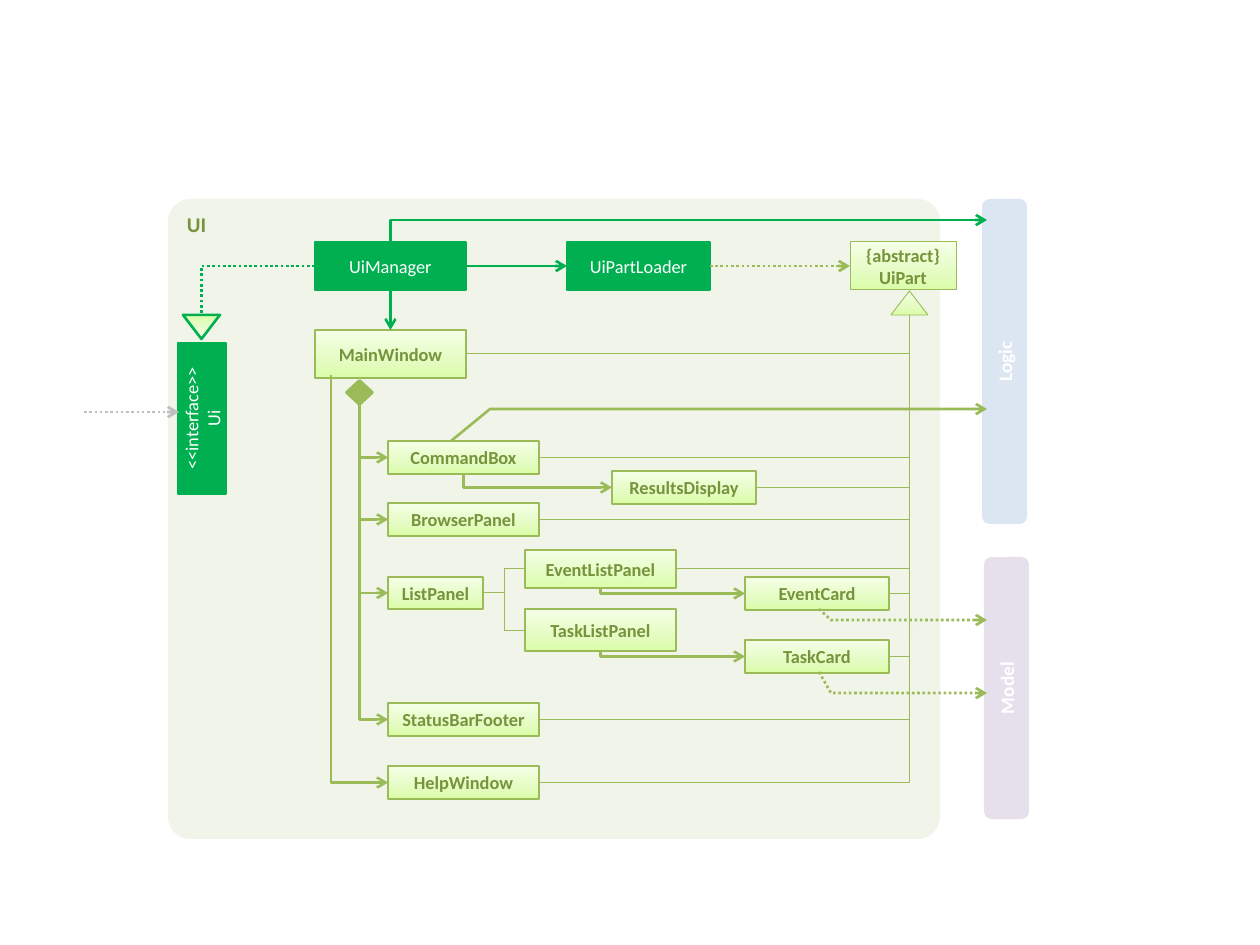
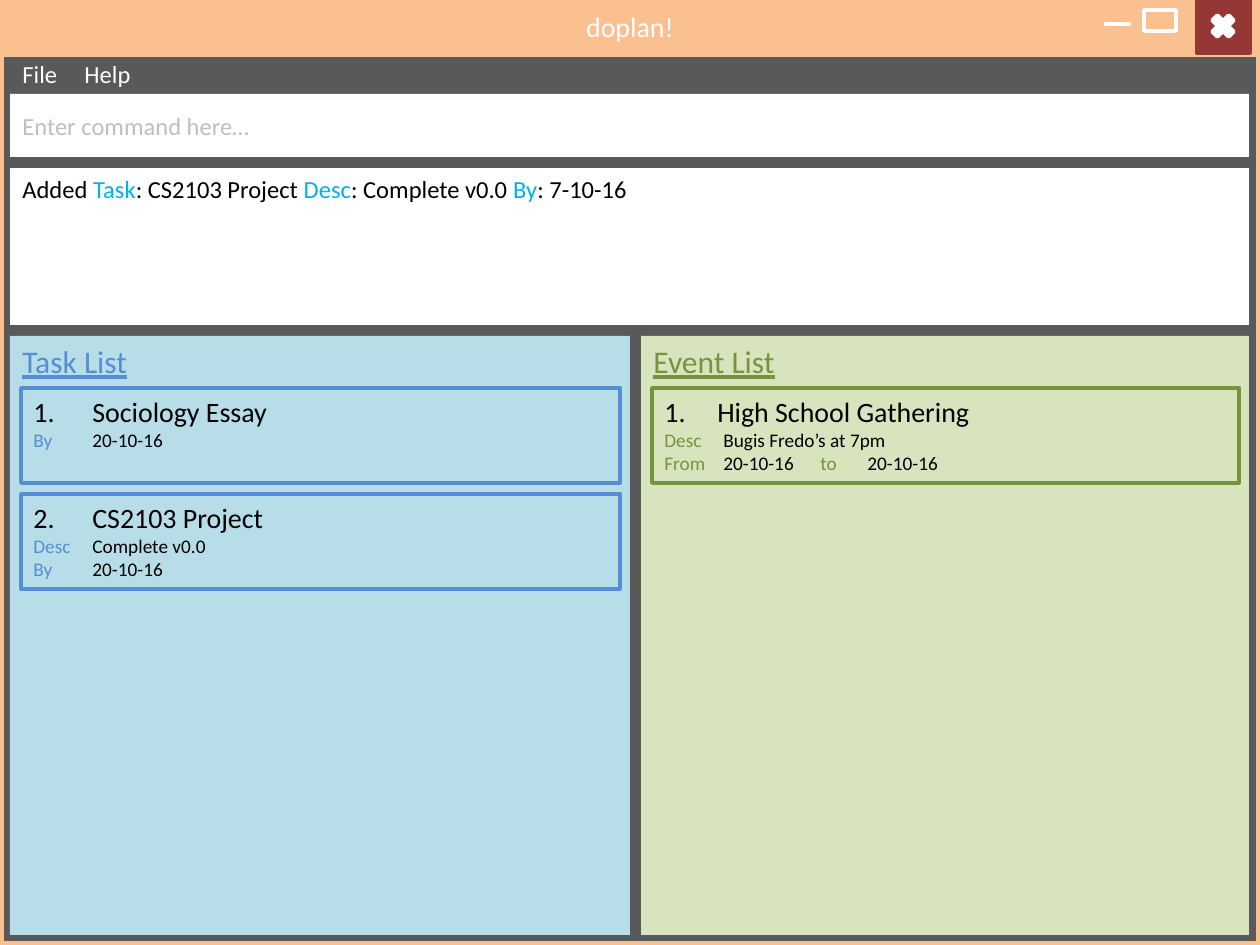
from lxml import etree
from copy import deepcopy
from pptx import Presentation
from pptx.dml.color import RGBColor
from pptx.enum.dml import MSO_LINE
from pptx.enum.shapes import MSO_CONNECTOR as LINK, MSO_SHAPE as SHAPE
from pptx.enum.text import MSO_ANCHOR as ANCHOR, PP_ALIGN as ALIGN
from pptx.oxml.ns import qn
from pptx.util import Pt

PX = 914400 / 126
FONT = "Calibri"
COLOR = dict(
    white="FFFFFF", black="000000", gray="BFBFBF", dark="595959",
    panel="F1F5E9", halo="EBF1DE", olive="9BBB59", moss="77933C", green="00B050",
    logic="DCE6F2", model="E6E0EC", orange="FAC090", red="953735", sky="00B0F0",
    event="D7E4BD", task="B7DEE8", blue="558ED5",
)
GLOW = [(0, "DAFDA7"), (0.35, "E4FCC2"), (1, "F5FFE7")]

# ---- Content: class diagram (left, top, width, height) ----
CLASSES = {
    "MainWindow": (315, 330, 151, 48),
    "CommandBox": (388, 441, 151, 33),
    "BrowserPanel": (388, 503, 151, 33),
    "ListPanel": (388, 577, 95, 32),
    "StatusBarFooter": (388, 703, 151, 33),
    "HelpWindow": (388, 766, 151, 33),
    "ResultsDisplay": (612, 471, 144, 33),
    "EventListPanel": (525, 550, 151, 38),
    "TaskListPanel": (525, 609, 151, 42),
    "EventCard": (745, 577, 144, 33),
    "TaskCard": (745, 640, 144, 33),
}
ABSTRACT = "{abstract}\vUiPart"
MANAGERS = {"UiManager": (315, 242, 151, 48), "UiPartLoader": (567, 242, 143, 48)}
NEIGHBOURS = [("Logic", (982, 199, 45, 325), "logic"), ("Model", (984, 557, 45, 262), "model")]
UI_PARTS = ["MainWindow", "CommandBox", "ResultsDisplay", "BrowserPanel", "EventListPanel",
            "EventCard", "TaskCard", "StatusBarFooter", "HelpWindow"]
OWNED = ["CommandBox", "BrowserPanel", "ListPanel", "StatusBarFooter"]
TOP, LEFT, BOTTOM, RIGHT = range(4)
BASE = 3  # site in the middle of a triangle's base
# start, end, route, colour, dotted, arrow
RELATIONS = [
    (("UiManager", BOTTOM), ("MainWindow", TOP), "straight", "green", False, True),
    (("UiManager", RIGHT), ("UiPartLoader", LEFT), "straight", "green", False, True),
    (("UiManager", TOP), (987, 220), "down-across", "green", False, True),
    (("UiManager", LEFT), ("realizes", BASE), "across-down", "green", True, False),
    (("UiPartLoader", RIGHT), (ABSTRACT, LEFT), "straight", "olive", True, True),
    ((84, 412), (179, 412), "straight", "gray", True, True),
    ((331, 375), ("HelpWindow", LEFT), "down-across", "olive", False, True),
    (("CommandBox", BOTTOM), ("ResultsDisplay", LEFT), "down-across", "olive", False, True),
    (("EventListPanel", BOTTOM), ("EventCard", LEFT), "down-across", "olive", False, True),
    (("TaskListPanel", BOTTOM), ("TaskCard", LEFT), "down-across", "olive", False, True),
]
HALOS = [(896, 399, 31, 23), (896, 619, 31, 23)]
CALLS = [  # points, dotted
    ([(451, 441), (490, 409), (987, 409)], False),
    ([(819, 609), (831, 620), (987, 620)], True),
    ([(819, 672), (831, 693), (987, 693)], True),
]

# ---- Content: app window ----
MENU = "File\tHelp"
RESULT = [("Added ", "black"), ("Task", "sky"), (": CS2103 Project ", "black"), ("Desc", "sky"),
          (": Complete v0.0 ", "black"), ("By", "sky"), (": 7-10-16", "black")]
LISTS = [  # title, box, fill, accent, heading indent, cards of heading and label/value rows
    ("Event List", (641, 336, 608, 599), "event", "moss", 53, [
        ("High School Gathering", [["Desc", "Bugis Fredo’s at 7pm"],
                                   ["From", "20-10-16", "to", "20-10-16"]])]),
    ("Task List", (10, 336, 620, 599), "task", "blue", 59, [
        ("Sociology Essay", [["By", "20-10-16"]]),
        ("CS2103 Project", [["Desc", "Complete v0.0"], ["By", "20-10-16"]])]),
]
CARD_TABS = (59, 156, 203)
CARD_HEIGHT, CARD_STEP = 95, 106


def px(length):
    return round(length * PX)


def rgb(name):
    return RGBColor.from_string(COLOR[name])


def style_line(line, color, width, dotted=False, arrow=False):
    line.color.rgb = rgb(color)
    line.width = Pt(width)
    if dotted:
        line.dash_style = MSO_LINE.ROUND_DOT
    if arrow:
        etree.SubElement(line._get_or_add_ln(), qn("a:tailEnd"), type="arrow")


def glow(shape):
    """Three-stop gradient, light at the top."""
    shape.fill.gradient()
    shape.fill.gradient_angle = 90
    stops = shape._element.spPr.find(".//" + qn("a:gsLst"))
    stops.append(deepcopy(stops[0]))
    for stop, (position, color) in zip(shape.fill.gradient_stops, GLOW):
        stop.color.rgb = RGBColor.from_string(color)
        stop.position = position


def add_part(slide, kind, box, fill=None, line=None, width=1.5, upright=False):
    left, top, w, h = box
    if upright:  # turned a quarter to the left, so swap the sides about the centre
        left, top, w, h = left + (w - h) / 2, top + (h - w) / 2, h, w
    part = slide.shapes.add_shape(kind, px(left), px(top), px(w), px(h))
    part.shadow.inherit = False
    part.rotation = 270 if upright else 0
    if fill == "glow":
        glow(part)
    elif fill:
        part.fill.solid()
        part.fill.fore_color.rgb = rgb(fill)
    else:
        part.fill.background()
    if line:
        style_line(part.line, line, width)
    else:
        part.line.fill.background()
    return part


def add_line(frame, runs, size, align=ALIGN.LEFT, bold=False, tabs=(), number=0, indent=0):
    """Append one paragraph of (text, colour) runs."""
    first = frame.paragraphs[0]
    para = first if not first.runs else frame.add_paragraph()
    para.alignment = align
    props = para._p.get_or_add_pPr()
    if number:
        props.set("marL", str(px(indent)))
        props.set("indent", str(-px(indent)))
        etree.SubElement(props, qn("a:buAutoNum"), type="arabicPeriod", startAt=str(number))
    if tabs:
        stops = etree.SubElement(props, qn("a:tabLst"))
        for tab in tabs:
            etree.SubElement(stops, qn("a:tab"), pos=str(px(tab)), algn="l")
    para.font.name, para.font.size, para.font.bold = FONT, Pt(size), bold
    for text, color in runs:
        run = para.add_run()
        run.text = text
        run.font.color.rgb = rgb(color)
    return para


def label(part, text, color, size=10.5, bold=False, align=ALIGN.CENTER, anchor=ANCHOR.MIDDLE):
    frame = part.text_frame
    frame.word_wrap = True
    frame.vertical_anchor = anchor
    for line in text.split("\n"):
        para = add_line(frame, [], size, align, bold)
        for i, piece in enumerate(line.split("\v")):
            if i:
                para.add_line_break()
            run = para.add_run()
            run.text = piece
            run.font.color.rgb = rgb(color)
    return part


def site_point(box, site):
    left, top, w, h = box
    return [(left + w / 2, top), (left, top + h / 2),
            (left + w / 2, top + h), (left + w, top + h / 2)][site]


def connect(slide, start, end, route, color, dotted=False, arrow=False, width=1.5):
    """Link two ends, each a free point or a (part, site) pair."""
    points = [base_points.get(e) or site_point(boxes[e[0]], e[1]) if e[0] in parts else e
              for e in (start, end)]
    (x1, y1), (x2, y2) = points
    straight = route == "straight"
    link = slide.shapes.add_connector(LINK.STRAIGHT if straight else LINK.ELBOW,
                                      px(x1), px(y1), px(x2), px(y2))
    if start[0] in parts:
        link.begin_connect(parts[start[0]], start[1])
    if end[0] in parts:
        link.end_connect(parts[end[0]], end[1])
    dx, dy = x2 - x1, y2 - y1
    w, h = abs(dx), abs(dy)
    frame = link._element.spPr.find(qn("a:xfrm"))
    frame.flipH, frame.flipV = dx < 0, dy < 0
    if route == "down-across":
        w, h = h, w
        frame.rot, frame.flipH, frame.flipV = 270, dy > 0, dx < 0
    if route in ("down-across", "across-down"):
        link._element.spPr.find(qn("a:prstGeom")).set("prst", "bentConnector2")
    link.left, link.top = px((x1 + x2 - w) / 2), px((y1 + y2 - h) / 2)
    link.width, link.height = px(w), px(h)
    style_line(link.line, color, width, dotted, arrow)
    etree.SubElement(link._element.spPr, qn("a:effectLst"))


deck = Presentation()
deck.slide_width, deck.slide_height = px(1260), px(945)
diagram, window = (deck.slides.add_slide(deck.slide_layouts[6]) for _ in range(2))

# ---- Slide 1: backdrop and neighbouring components ----
backdrop = add_part(diagram, SHAPE.ROUNDED_RECTANGLE, (168, 199, 772, 640), "panel")
backdrop.adjustments[0] = 0.035
label(backdrop, "UI", "moss", 12, True, ALIGN.LEFT, ANCHOR.TOP)
for name, box, fill in NEIGHBOURS:
    component = add_part(diagram, SHAPE.ROUNDED_RECTANGLE, box, fill, upright=True)
    label(component, name, "white", 11, True)

# Classes, the interface and the symbols the links start from
boxes = {**CLASSES, **MANAGERS, ABSTRACT: (850, 242, 106, 48)}
parts = {}
for name, box in boxes.items():
    if name in MANAGERS:
        parts[name] = add_part(diagram, SHAPE.RECTANGLE, box, "green", "green")
        label(parts[name], name, "white")
    else:
        parts[name] = add_part(diagram, SHAPE.RECTANGLE, box, "glow", "olive",
                               0.5 if name == ABSTRACT else 1.5)
        label(parts[name], name, "moss", bold=True)
interface = add_part(diagram, SHAPE.RECTANGLE, (178, 343, 48, 151), "green", "green", upright=True)
label(interface, "<<interface>>\nUi", "white")

SYMBOLS = [("extends", SHAPE.ISOSCELES_TRIANGLE, (891, 291, 37, 24), "glow", "olive", 0.5),
           ("realizes", SHAPE.ISOSCELES_TRIANGLE, (183, 315, 37, 24), "glow", "green", 1.5),
           ("owns", SHAPE.FLOWCHART_DECISION, (347, 381, 25, 23), "olive", "olive", 2)]
for name, kind, box, fill, line, width in SYMBOLS:
    boxes[name] = box
    parts[name] = add_part(diagram, kind, box, fill, line, width)
parts["realizes"]._element.spPr.find(qn("a:xfrm")).flipV = True
base_points = {("extends", BASE): site_point(boxes["extends"], BOTTOM),
               ("realizes", BASE): site_point(boxes["realizes"], TOP)}

# Links
for name in UI_PARTS:
    connect(diagram, ("extends", BASE), (name, RIGHT), "down-across", "olive", width=0.5)
for name in OWNED:
    connect(diagram, ("owns", BOTTOM), (name, LEFT), "down-across", "olive", arrow=True)
for name in ("EventListPanel", "TaskListPanel"):
    connect(diagram, ("ListPanel", RIGHT), (name, LEFT), "elbow", "olive", width=0.5)
for relation in RELATIONS:
    connect(diagram, *relation)

# Soft gaps in the inheritance line, then the calls that cross it
for box in HALOS:
    halo = add_part(diagram, SHAPE.RECTANGLE, box, "halo")
    tint = halo._element.spPr.find(".//" + qn("a:srgbClr"))
    etree.SubElement(tint, qn("a:alpha"), val="80000")
    effects = halo._element.spPr.find(qn("a:effectLst"))
    etree.SubElement(effects, qn("a:softEdge"), rad="63500")
for (start, *rest), dotted in CALLS:
    builder = diagram.shapes.build_freeform(*start, scale=PX)
    builder.add_line_segments(rest, close=False)
    call = builder.convert_to_shape()
    call.shadow.inherit = False
    call.fill.background()
    style_line(call.line, "olive", 1.5, dotted, True)

# ---- Slide 2: frame, title bar and window buttons ----
add_part(window, SHAPE.RECTANGLE, (0, 53, 1260, 892), "dark", "orange", 4.5)
title_bar = add_part(window, SHAPE.RECTANGLE, (0, 0, 1260, 53), "orange", "orange", 4.5)
label(title_bar, "doplan!", "white", 16)
add_part(window, SHAPE.RECTANGLE, (1197, 0, 53, 53), "red", "red", 2)
add_part(window, SHAPE.MATH_MULTIPLY, (1207, 10, 32, 32), "white", "white", 2)
add_part(window, SHAPE.RECTANGLE, (1144, 10, 32, 21), None, "white", 2)
add_part(window, SHAPE.MATH_MINUS, (1102, 21, 32, 6), "white", "white", 2)

# Menu, command line and result
menu = window.shapes.add_textbox(px(10), px(53), px(145), px(43)).text_frame
menu.word_wrap = True
add_line(menu, [(MENU, "white")], 14, tabs=[62])
command = add_part(window, SHAPE.RECTANGLE, (10, 94, 1239, 63), "white")
label(command, "Enter command here…", "gray", 14, align=ALIGN.LEFT)
result = add_part(window, SHAPE.RECTANGLE, (10, 168, 1239, 157), "white").text_frame
result.vertical_anchor = ANCHOR.TOP
add_line(result, RESULT, 14)

# Lists and their cards
for title, box, fill, accent, indent, cards in LISTS:
    pane = add_part(window, SHAPE.RECTANGLE, box, fill)
    label(pane, title, accent, 18, align=ALIGN.LEFT, anchor=ANCHOR.TOP)
    pane.text_frame.paragraphs[0].runs[0].font.underline = True
    left, top, width, _ = box
    for i, (heading, rows) in enumerate(cards):
        card_box = (left + 11, top + 52 + i * CARD_STEP, width - 21, CARD_HEIGHT)
        card = add_part(window, SHAPE.RECTANGLE, card_box, None, accent, 2).text_frame
        card.vertical_anchor = ANCHOR.TOP
        add_line(card, [(heading, "black")], 16, number=i + 1, indent=indent)
        for row in rows:
            runs = [("\t" * (j > 0) + text, "black" if j % 2 else accent)
                    for j, text in enumerate(row)]
            add_line(card, runs, 11, tabs=CARD_TABS)

deck.save("out.pptx")
